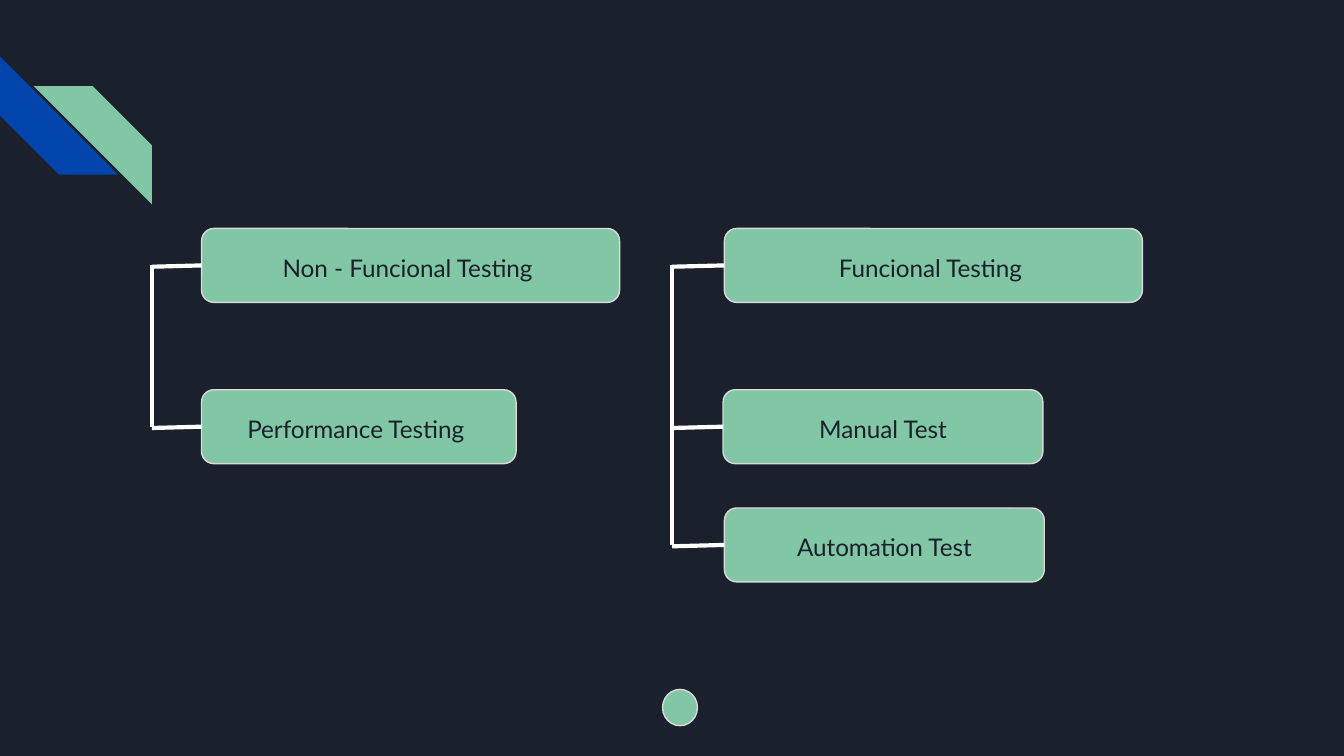
from dataclasses import dataclass

from lxml.etree import SubElement
from pptx import Presentation
from pptx.dml.color import RGBColor
from pptx.enum.shapes import MSO_CONNECTOR as Connector, MSO_SHAPE as Shape
from pptx.enum.text import MSO_ANCHOR as Anchor, PP_ALIGN as Align
from pptx.oxml.ns import qn
from pptx.util import Inches, Pt

COLORS = {
    "background": "1B212C",
    "blue": "0145AC",
    "green": "82C7A5",
    "outline": "D9D9D9",
    "line": "FFFFFF",
}
SLIDE_WIDTH = 10
SLIDE_HEIGHT = SLIDE_WIDTH * 9 / 16
BOX_HEIGHT = 0.55
LEFT_SIDE = 1


@dataclass
class Box:
    text: str
    left: float
    top: float
    width: float

    @property
    def middle(self) -> float:
        return self.top + BOX_HEIGHT / 2


@dataclass
class Tree:
    trunk: float
    boxes: list[Box]


TREES = [
    Tree(1.13, [
        Box("Non - Funcional Testing ", 1.5, 1.7, 3.11),
        Box("Performance Testing ", 1.5, 2.9, 2.34),
    ]),
    Tree(5, [
        Box("Funcional Testing ", 5.39, 1.7, 3.11),
        Box("Manual Test", 5.38, 2.9, 2.38),
        Box("Automation Test", 5.39, 3.78, 2.38),
    ]),
]


def color(name: str) -> RGBColor:
    return RGBColor.from_string(COLORS[name])


def add_filled(slide, kind: Shape, left: float, top: float, width: float,
               height: float, fill: str, outlined: bool = True):
    shape = slide.shapes.add_shape(
        kind, Inches(left), Inches(top), Inches(width), Inches(height))
    shape.shadow.inherit = False
    shape.fill.solid()
    shape.fill.fore_color.rgb = color(fill)
    if outlined:
        shape.line.color.rgb = color("outline")
        shape.line.width = Pt(0.75)
    else:
        shape.line.fill.background()
    return shape


def add_stripe(slide, left: float, top: float, fill: str, rotation: int) -> None:
    stripe = add_filled(slide, Shape.DIAGONAL_STRIPE, left, top, 0.88, 0.88,
                        fill, outlined=False)
    stripe.adjustments[0] = 0.5
    stripe.rotation = rotation


def add_box(slide, box: Box):
    shape = add_filled(slide, Shape.ROUNDED_RECTANGLE, box.left, box.top,
                       box.width, BOX_HEIGHT, "green")
    frame = shape.text_frame
    frame.word_wrap = True
    frame.vertical_anchor = Anchor.MIDDLE
    frame.margin_left = frame.margin_right = Inches(0.1)
    frame.margin_top = frame.margin_bottom = Inches(0.1)
    paragraph = frame.paragraphs[0]
    paragraph.alignment = Align.CENTER
    paragraph.line_spacing = 1.15
    run = paragraph.add_run()
    run.text = box.text
    run.font.name = "Lato"
    run.font.size = Pt(13)
    run.font.color.rgb = color("background")
    return shape


def add_line(slide, x1: float, y1: float, x2: float, y2: float):
    line = slide.shapes.add_connector(
        Connector.STRAIGHT, Inches(x1), Inches(y1), Inches(x2), Inches(y2))
    line.line.color.rgb = color("line")
    line.line.width = Pt(2.25)
    SubElement(line.element.spPr, qn("a:effectLst"))
    return line


def add_tree(slide, tree: Tree) -> None:
    for box in tree.boxes:
        shape = add_box(slide, box)
        branch = add_line(slide, box.left, box.middle,
                          tree.trunk, box.middle + 0.01)
        branch.begin_connect(shape, LEFT_SIDE)
    add_line(slide, tree.trunk, tree.boxes[0].middle,
             tree.trunk, tree.boxes[-1].middle)


def main() -> None:
    presentation = Presentation()
    presentation.slide_width = Inches(SLIDE_WIDTH)
    presentation.slide_height = Inches(SLIDE_HEIGHT)
    slide = presentation.slides.add_slide(presentation.slide_layouts[6])
    slide.background.fill.solid()
    slide.background.fill.fore_color.rgb = color("background")

    # Corner stripes
    add_stripe(slide, 0, 0.42, "blue", 270)
    add_stripe(slide, 0.25, 0.64, "green", 90)

    # Testing trees
    for tree in TREES:
        add_tree(slide, tree)

    # Dot at the bottom
    add_filled(slide, Shape.OVAL, 4.93, 5.13, 0.26, 0.27, "green")

    presentation.save("out.pptx")


if __name__ == "__main__":
    main()
